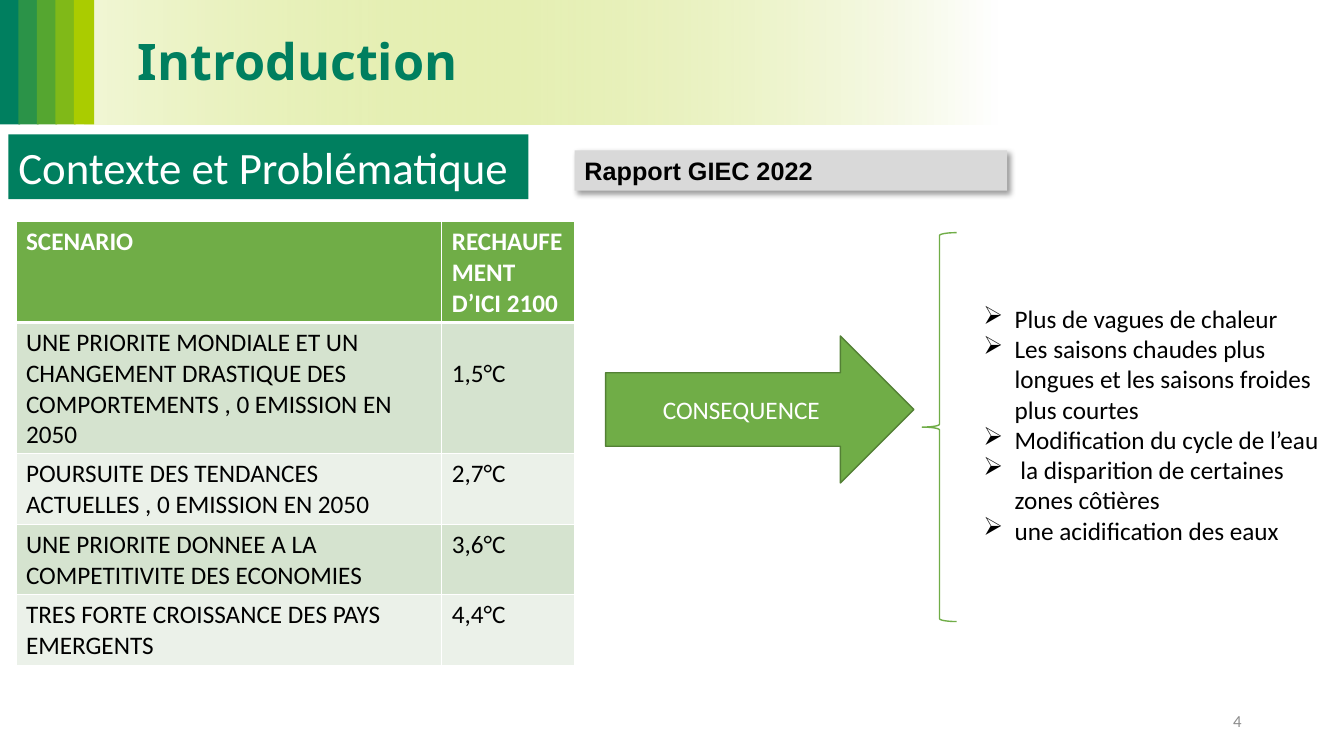
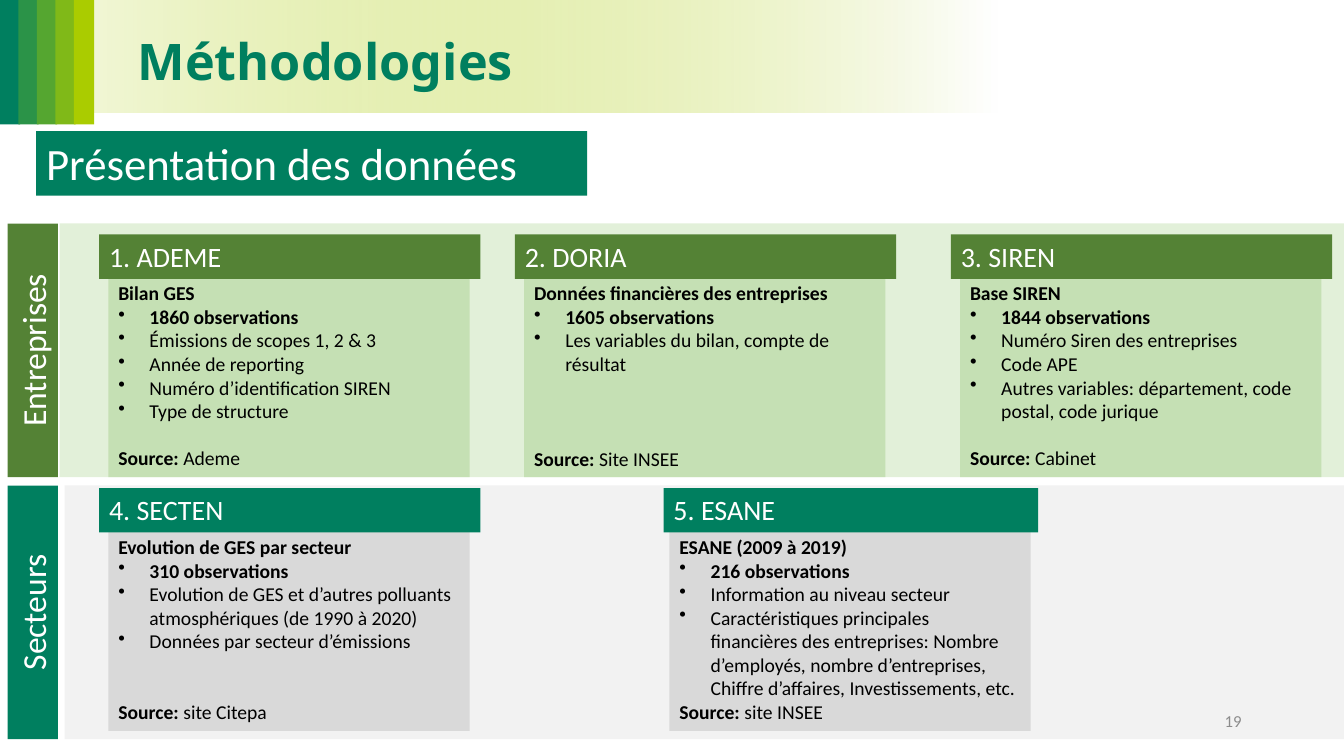
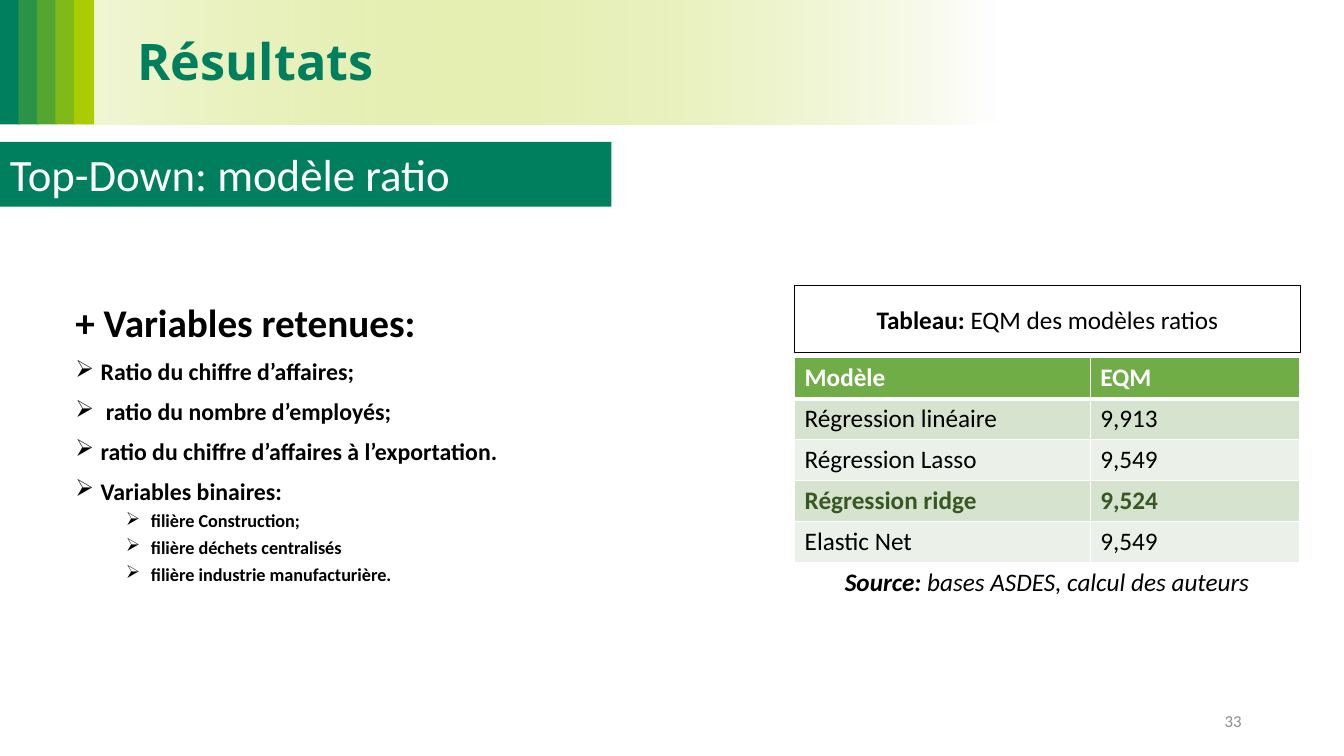
from dataclasses import dataclass
from typing import NamedTuple

from lxml import etree
from pptx import Presentation
from pptx.dml.color import RGBColor
from pptx.enum.shapes import MSO_SHAPE
from pptx.enum.text import MSO_ANCHOR, PP_ALIGN
from pptx.oxml.ns import qn
from pptx.util import Emu, Inches, Pt

RECT, ARROW, BRACE = MSO_SHAPE.RECTANGLE, MSO_SHAPE.RIGHT_ARROW, MSO_SHAPE.LEFT_BRACE
LEFT, CENTER, RIGHT = PP_ALIGN.LEFT, PP_ALIGN.CENTER, PP_ALIGN.RIGHT
TOP, MIDDLE = MSO_ANCHOR.TOP, MSO_ANCHOR.MIDDLE

# The slide is a grid of 160 columns by 90 rows of square units
UNIT, COLS, ROWS = 76200, 160, 90
BODY_FONT, TITLE_FONT = "Calibri", "Noto Sans"
LINE_14 = 17  # height in points of one 14 pt line

COLORS = {
    "deep": "007F5F", "lime": "AACC00", "moss": "548235", "leaf": "70AD47",
    "edge": "538035", "mint": "E2F0D9", "pale": "C5E0B4", "forest": "385723",
    "odd": "D5E3CF", "even": "EBF1E9", "silver": "D9D9D9", "mist": "F2F2F2",
    "grey": "8C8C8C", "white": "FFFFFF", "black": "000000",
}
STRIPES = ["007F5F", "2B9348", "55A630", "80B918", "AACC00"]


class Box(NamedTuple):
    col: float
    row: float
    cols: float
    rows: float

    def emu(self) -> list[Emu]:
        return [Emu(round(v * UNIT)) for v in self]


@dataclass
class Para:
    text: str
    lead: str = ""  # bold words before the text
    bullet: str = ""
    bold: bool | None = None
    size: float | None = None
    indent: float = 0.31
    before: float = 0
    spacing: float | None = None


@dataclass
class Card:
    title: str
    heading: str
    count: str
    items: list[str]
    source: str
    gap: int  # free lines above the source
    col: float
    cols: float = 45.4
    inset: float = 1.1


def rgb(name: str) -> RGBColor:
    return RGBColor.from_string(COLORS.get(name, name))


def sub(parent, tag: str, **attrs):
    return etree.SubElement(parent, qn(tag), {k: str(v) for k, v in attrs.items()})


def write(tf, paras: str | list[Para], size: float = 18, color: str = "black",
          bold: bool = False, italic: bool = False, font: str = BODY_FONT,
          align=LEFT) -> None:
    """Fill a text frame with formatted paragraphs."""
    if isinstance(paras, str):
        paras = [Para(paras)]
    for i, para in enumerate(paras):
        p = tf.paragraphs[0] if i == 0 else tf.add_paragraph()
        p.alignment = align
        if para.bullet:
            pPr = p._p.get_or_add_pPr()
            pPr.set("marL", str(Inches(para.indent)))
            pPr.set("indent", str(-Inches(min(para.indent, 0.31) if para.indent < 0.5 else 0.25)))
            sub(pPr, "a:buChar", char=para.bullet)
        if para.before and i:
            p.space_before = Pt(para.before)
        if para.spacing:
            p.line_spacing = para.spacing
        main_bold = bold if para.bold is None else para.bold
        for text, strong in ((para.lead, True), (para.text, main_bold)):
            if text:
                r = p.add_run()
                r.text = text
                r.font.name, r.font.size = font, Pt(para.size or size)
                r.font.bold, r.font.italic = strong, italic
                r.font.color.rgb = rgb(color)


def add_text(s, box: Box, paras: str | list[Para], anchor=TOP, **fmt):
    tb = s.shapes.add_textbox(*box.emu())
    tf = tb.text_frame
    tf.word_wrap = True
    tf.vertical_anchor = anchor
    write(tf, paras, **fmt)
    return tb


def add_shape(s, box: Box, fill: str = "", line: str = "", kind=RECT,
              paras: str | list[Para] = "", anchor=TOP, **fmt):
    sp = s.shapes.add_shape(kind, *box.emu())
    sp.shadow.inherit = False
    if fill:
        sp.fill.solid()
        sp.fill.fore_color.rgb = rgb(fill)
    else:
        sp.fill.background()
    if line:
        sp.line.color.rgb = rgb(line)
        sp.line.width = Pt(1)
    else:
        sp.line.fill.background()
    sp.text_frame.vertical_anchor = anchor
    if paras:
        write(sp.text_frame, paras, **fmt)
    return sp


def add_band(s, rows: float) -> None:
    """Header band that fades out to the right."""
    sp = add_shape(s, Box(10.1, 0, 108.7, rows), "white")
    sp.fill.gradient()
    sp.fill.gradient_angle = 180
    for stop, name, pos in zip(sp.fill.gradient_stops, ("white", "lime"), (0, 1)):
        stop.color.rgb = rgb(name)
        stop.position = pos
    sub(list(sp._element.spPr.iter(qn("a:srgbClr")))[1], "a:alpha", val=16000)


def add_page(prs, title: str, subtitle: str, subtitle_box: Box, number: int,
             band_rows: float = 14.8):
    """Blank slide with the shared header, subtitle and page number."""
    s = prs.slides.add_slide(prs.slide_layouts[6])
    add_band(s, band_rows)
    for i, color in enumerate(STRIPES):
        add_shape(s, Box(2.2 * i, 0, 2.4, 14.8), color)
    add_text(s, Box(15.2, 3, 82, 8.5), title, size=36, color="deep",
             bold=True, font=TITLE_FONT)
    add_shape(s, subtitle_box, "deep", paras=subtitle, size=32, color="white")
    return s, number


def add_number(s, number: int) -> None:
    add_text(s, Box(113, 83.4, 36, 4.8), str(number), MIDDLE, size=12,
             color="grey", align=RIGHT)


def style_cell(cell, fill: str, top: float = 1, bottom: float = 1) -> None:
    tcPr = cell._tc.get_or_add_tcPr()
    for side, width in (("L", 1), ("R", 1), ("T", top), ("B", bottom)):
        ln = sub(tcPr, f"a:ln{side}", w=Pt(width))
        sub(sub(ln, "a:solidFill"), "a:srgbClr", val=COLORS["white"])
    cell.fill.solid()
    cell.fill.fore_color.rgb = rgb(fill)


def add_table(s, col: float, row: float, widths: list[float], heights: list[float],
              data: list[tuple[str, ...]], strong: int = -1, note: Para | None = None):
    """Banded table; `strong` is a highlighted row, `note` a merged last row."""
    box = Box(col, row, sum(widths), sum(heights))
    table = s.shapes.add_table(len(heights), len(widths), *box.emu()).table
    for column, width in zip(table.columns, widths):
        column.width = Emu(round(width * UNIT))
    for line, height in zip(table.rows, heights):
        line.height = Emu(round(height * UNIT))
    for i, values in enumerate(data):
        fill = "leaf" if i == 0 else "odd" if i % 2 else "even"
        color = "white" if i == 0 else "forest" if i == strong else "black"
        for j, value in enumerate(values):
            cell = table.cell(i, j)
            style_cell(cell, fill, 3 if i == 1 else 1, 3 if i == 0 else 1)
            write(cell.text_frame, value, color=color, bold=i in (0, strong))
    if note:
        last = len(data)
        for j in range(len(widths)):
            style_cell(table.cell(last, j), "white")
        table.cell(last, 0).merge(table.cell(last, len(widths) - 1))
        write(table.cell(last, 0).text_frame, [note], italic=True, align=CENTER)
    return table


def add_card(s, card: Card, row: float, head: str, body: str) -> None:
    paras = [Para(card.heading, bold=True), Para(card.count, bullet="•", bold=True)]
    paras += [Para(item, bullet="•") for item in card.items]
    paras.append(Para(card.source, lead="Source: ", before=card.gap * LINE_14))
    add_shape(s, Box(card.col + card.inset, row + 5, 43, 23.9), body,
              paras=paras, size=14)
    add_shape(s, Box(card.col, row, card.cols, 5.3), head, paras=card.title,
              size=20, color="white")


def add_group(s, row: float, col: float, label: str, head: str, panel: str) -> None:
    """Full-width panel with a rotated label on its left."""
    rows, thick = 30.2, 6
    add_shape(s, Box(col, row, COLS - col, rows), panel)
    tab = Box(0.9 + (thick - rows) / 2, row + (rows - thick) / 2, rows, thick)
    sp = add_shape(s, tab, head, paras=label, size=24, color="white", align=CENTER)
    sp.rotation = 270


def build_intro(prs) -> None:
    s, number = add_page(prs, "Introduction", "Contexte et Problématique",
                         Box(1, 16, 61.9, 7.7), 4)
    # Scenarios
    table = add_table(s, 1.9, 26.4, [50.7, 15.8], [12, 15.6, 8.4, 8.4, 8.4], [
        ("SCENARIO", "RECHAUFEMENT D’ICI 2100"),
        ("UNE PRIORITE MONDIALE ET UN CHANGEMENT DRASTIQUE DES COMPORTEMENTS , "
         "0 EMISSION EN 2050", "1,5°C"),
        ("POURSUITE DES TENDANCES ACTUELLES , 0 EMISSION EN 2050", "2,7°C"),
        ("UNE PRIORITE DONNEE A LA COMPETITIVITE DES ECONOMIES", "3,6°C"),
        ("TRES FORTE CROISSANCE DES PAYS EMERGENTS", "4,4°C"),
    ])
    table.cell(1, 1).margin_top = Inches(0.36)
    # Consequences
    add_shape(s, Box(72.1, 40, 36.7, 17.5), "leaf", "edge", ARROW, "CONSEQUENCE",
              MIDDLE, color="white", align=CENTER)
    add_shape(s, Box(109.8, 27.7, 4.1, 46.3), line="leaf", kind=BRACE)
    effects = ["Plus de vagues de chaleur",
               "Les saisons chaudes plus longues et les saisons froides plus courtes",
               "Modification du cycle de l’eau",
               " la disparition de certaines zones côtières",
               "une acidification des eaux"]
    add_text(s, Box(115.9, 35.5, 42.3, 34), [Para(e, bullet="➢") for e in effects])
    # Report label with its shadow
    label = add_shape(s, Box(68.4, 17.9, 51.5, 4.8), "silver",
                      paras="Rapport GIEC 2022", bold=True, font="Arial")
    effect = label._element.spPr.find(qn("a:effectLst"))
    shadow = sub(effect, "a:outerShdw", blurRad=Pt(4), dist=Pt(3), dir=45 * 60000,
                 algn="tl", rotWithShape=0)
    sub(sub(shadow, "a:srgbClr", val=COLORS["black"]), "a:alpha", val=40000)
    add_number(s, number)


def build_methods(prs) -> None:
    s, number = add_page(prs, "Méthodologies", "Présentation des données",
                         Box(4.3, 15.6, 65.6, 7.7), 19, band_rows=13.4)
    companies = [
        Card("1. ADEME", "Bilan GES", "1860 observations",
             ["Émissions de scopes 1, 2 & 3", "Année de reporting",
              "Numéro d’identification SIREN", "Type de structure"], "Ademe", 1, 11.8),
        Card("2. DORIA", "Données financières des entreprises", "1605 observations",
             ["Les variables du bilan, compte de résultat"], "Site INSEE", 3, 61.3),
        Card("3. SIREN", "Base SIREN", "1844 observations",
             ["Numéro Siren des entreprises", "Code APE",
              "Autres variables: département, code postal, code jurique"],
             "Cabinet", 1, 113.2),
    ]
    sectors = [
        Card("4. SECTEN", "Evolution de GES par secteur", "310 observations",
             ["Evolution de GES et d’autres polluants atmosphériques (de 1990 à 2020)",
              "Données par secteur d’émissions"], "site Citepa", 2, 11.8),
        Card("5. ESANE", "ESANE (2009 à 2019)", "216 observations",
             ["Information au niveau secteur",
              "Caractéristiques principales financières des entreprises: Nombre "
              "d’employés, nombre d’entreprises, Chiffre d’affaires, "
              "Investissements, etc."], "site INSEE", 0, 79, 44.6, 0.7),
    ]
    add_group(s, 26.6, 7.1, "Entreprises", "moss", "mint")
    add_group(s, 57.8, 7.7, "Secteurs", "deep", "mist")
    for card in companies:
        add_card(s, card, 27.9, "moss", "pale")
    for card in sectors:
        add_card(s, card, 58.1, "deep", "silver")
    add_number(s, number)


def build_results(prs) -> None:
    s, number = add_page(prs, "Résultats", "Top-Down: modèle ratio",
                         Box(0, 16.9, 72.8, 7.7), 33)
    # Retained variables
    ratios = ["Ratio du chiffre d’affaires;", " ratio du nombre d’employés;",
              "ratio du chiffre d’affaires à l’exportation.", "Variables binaires:"]
    sectors = ["filière Construction;", "filière déchets centralisés",
               "filière industrie manufacturière."]
    paras = [Para("+ Variables retenues:", size=28, spacing=0.9)]
    paras += [Para(t, bullet="➢", size=17, indent=0.25, before=10, spacing=0.9)
              for t in ratios]
    paras += [Para(t, bullet="➢", size=13, indent=0.75, before=5, spacing=0.9)
              for t in sectors]
    add_text(s, Box(7.8, 35.6, 83.5, 50), paras, bold=True)
    # Model errors
    add_shape(s, Box(94.6, 34, 60.2, 8), "white", "black", anchor=MIDDLE,
              paras=[Para(" EQM des modèles ratios", lead="Tableau:")], align=CENTER)
    add_table(s, 94.6, 42.6, [35.2, 24.9], [4.87] * 6, [
        ("Modèle", "EQM"),
        ("Régression linéaire", "9,913"),
        ("Régression Lasso", "9,549"),
        ("Régression ridge", "9,524"),
        ("Elastic Net", "9,549"),
    ], strong=3, note=Para("bases ASDES, calcul des auteurs", lead="Source: "))
    add_number(s, number)


def main() -> None:
    prs = Presentation()
    prs.slide_width, prs.slide_height = Emu(COLS * UNIT), Emu(ROWS * UNIT)
    build_intro(prs)
    build_methods(prs)
    build_results(prs)
    prs.save("out.pptx")


if __name__ == "__main__":
    main()
